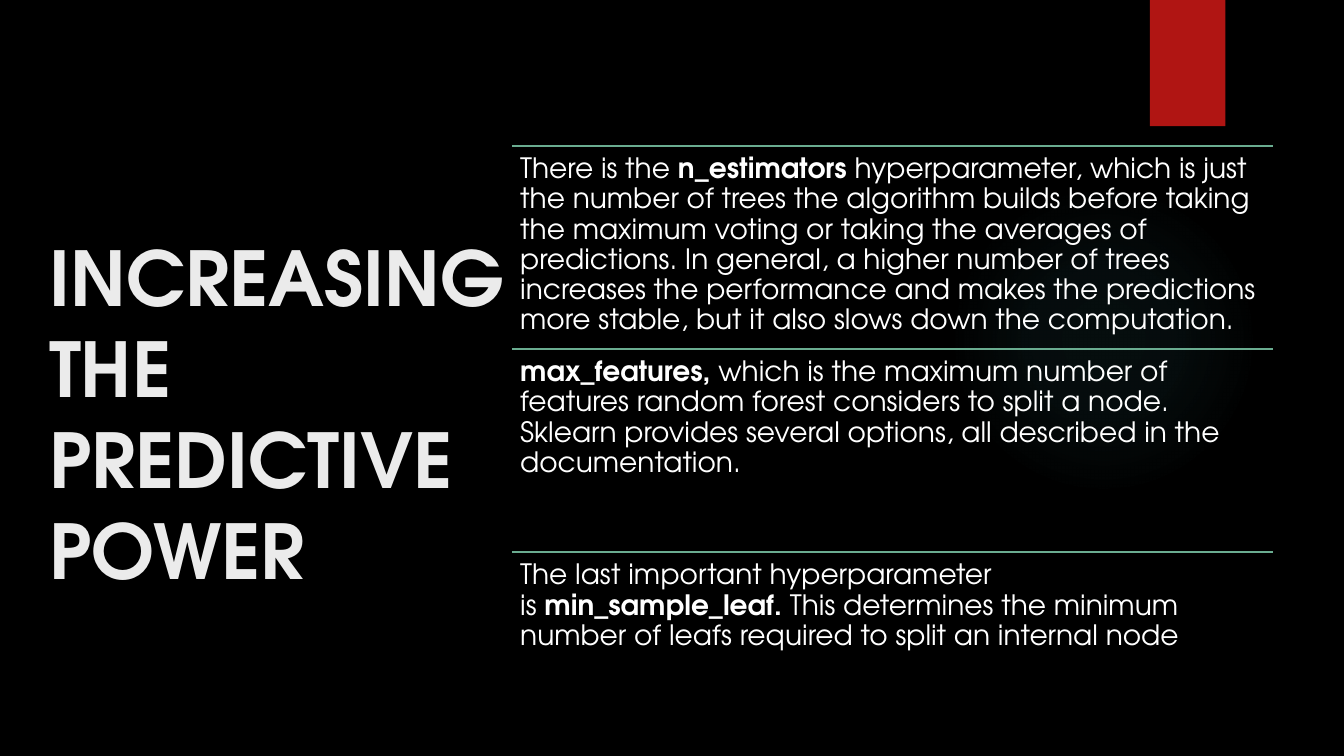
import pptx
import pptx.util
import pptx.dml.color
import pptx.enum.shapes
import pptx.enum.text
import pptx.oxml
import pptx.oxml.ns
from lxml import etree

Cm, Pt = pptx.util.Cm, pptx.util.Pt
SHAPE = pptx.enum.shapes.MSO_SHAPE
ANCHOR = pptx.enum.text.MSO_ANCHOR

TITLE = "INCREASING THE PREDICTIVE POWER"
# Each row is a list of (text, bold) runs.
ROWS = [
    [("There is the\u00a0", False), ("n_estimators\u00a0", True),
     ("hyperparameter, which is just the number of trees the algorithm builds "
      "before taking the maximum voting or taking the averages of predictions. "
      "In general, a higher number of trees increases the performance and makes "
      "the predictions more stable, but it also slows down the computation.", False)],
    [("max_features,", True),
     ("\u00a0which is the maximum number of features random forest considers to "
      "split a node. Sklearn provides several options, all described in the "
      "documentation.", False)],
    [("The last important hyperparameter is\u00a0", False),
     ("min_sample_leaf.\u00a0", True),
     ("This determines the minimum number of leafs required to split an "
      "internal node", False)],
]
COLORS = {"background": "000000", "glow": "50B9C1", "ribbon": "B01513",
          "title": "EBEBEB", "rule": "6AAC90", "body": "FFFFFF"}
FONT = "TeX Gyre Adventor"
GLOW_STOPS = [(0, 7), (36, 6), (69, 0), (100, 0)]  # position %, opacity %
ROW_LEFT, ROW_TOP, ROW_WIDTH, ROW_HEIGHT = 12.9, 3.68, 19.18, 5.12
TITLE_FORMAT = {"size": Pt(54), "name": FONT}
BODY_FORMAT = {"size": Pt(20), "name": FONT}


def rgb(name):
    """Return the named colour."""
    return pptx.dml.color.RGBColor.from_string(COLORS[name])


def add_plain_shape(slide, kind, box, color):
    """Add a filled shape without outline or shadow."""
    sp = slide.shapes.add_shape(kind, *map(Cm, box))
    sp.shadow.inherit = False
    sp.fill.solid()
    sp.fill.fore_color.rgb = rgb(color)
    sp.line.fill.background()
    return sp


def fade_out(sp, color, stops):
    """Replace the solid fill by a circular fade."""
    gs = "".join(f'<a:gs pos="{pos * 1000}"><a:srgbClr val="{COLORS[color]}">'
                 f'<a:alpha val="{alpha * 1000}"/></a:srgbClr></a:gs>'
                 for pos, alpha in stops)
    grad = pptx.oxml.parse_xml(
        f'<a:gradFill {pptx.oxml.ns.nsdecls("a")}><a:gsLst>{gs}</a:gsLst>'
        '<a:path path="circle"><a:fillToRect l="50000" t="50000" r="50000" '
        'b="50000"/></a:path></a:gradFill>')
    solid = sp._element.spPr.find(pptx.oxml.ns.qn("a:solidFill"))
    solid.getparent().replace(solid, grad)


def add_text(slide, box, runs, font, color, frame, paragraph):
    """Add a text box holding one paragraph of (text, bold) runs."""
    tf = slide.shapes.add_textbox(*map(Cm, box)).text_frame
    p = tf.paragraphs[0]
    for target, values in ((tf, frame), (p, paragraph)):
        for key, value in values.items():
            setattr(target, key, value)
    for text, bold in runs:
        r = p.add_run()
        r.text = text
        for key, value in {**font, "bold": bold}.items():
            setattr(r.font, key, value)
        r.font.color.rgb = rgb(color)


def add_rule(slide, left, top, width):
    """Add a horizontal rule above a row."""
    line = slide.shapes.add_connector(
        pptx.enum.shapes.MSO_CONNECTOR.STRAIGHT,
        Cm(left), Cm(top), Cm(left + width), Cm(top))
    line.line.width = Pt(1.5)
    line.line.color.rgb = rgb("rule")
    etree.SubElement(line._element.spPr, pptx.oxml.ns.qn("a:effectLst"))


prs = pptx.Presentation()
prs.slide_width, prs.slide_height = Cm(33.87), Cm(19.05)
slide = prs.slides.add_slide(prs.slide_layouts[6])
slide.background.fill.solid()
slide.background.fill.fore_color.rgb = rgb("background")

glow = add_plain_shape(slide, SHAPE.OVAL, (23.9, 4.65, 7.82, 7.82), "glow")
fade_out(glow, "glow", GLOW_STOPS)
add_plain_shape(slide, SHAPE.RECTANGLE, (28.98, 0, 1.9, 3.18), "ribbon")

add_text(slide, (0.99, 2.64, 13.34, 15.52), [(TITLE, True)], TITLE_FORMAT, "title",
         {"word_wrap": True, "vertical_anchor": ANCHOR.MIDDLE}, {})

margins = {f"margin_{side}": Cm(0.21) for side in ("left", "top", "right", "bottom")}
for i, runs in enumerate(ROWS):
    top = ROW_TOP + i * ROW_HEIGHT
    add_rule(slide, ROW_LEFT, top, ROW_WIDTH)
    add_text(slide, (ROW_LEFT, top, ROW_WIDTH, ROW_HEIGHT), runs, BODY_FORMAT, "body",
             {"word_wrap": True, "vertical_anchor": ANCHOR.TOP, **margins},
             {"line_spacing": 0.9, "space_after": Pt(7)})

prs.save("out.pptx")
